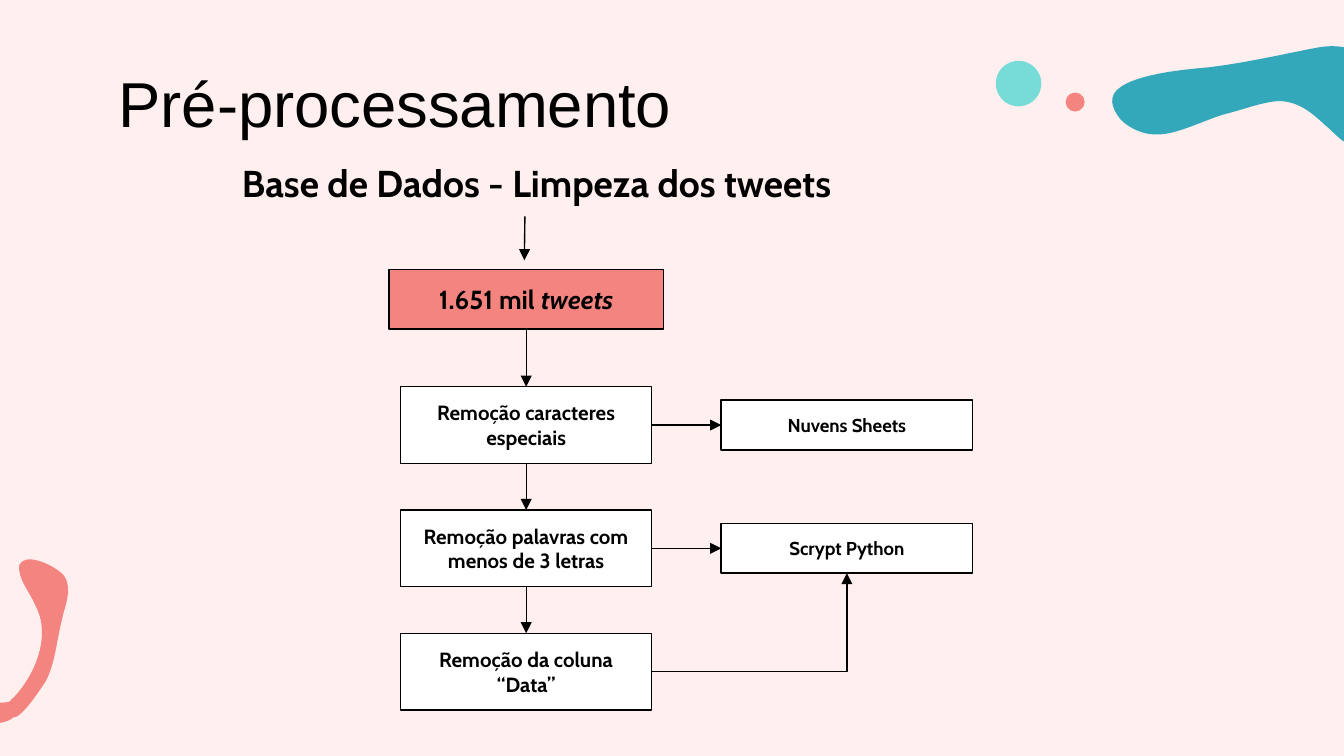
import math
from dataclasses import dataclass
from typing import Any

import pptx
import pptx.dml.color
import pptx.enum.shapes
import pptx.enum.text
import pptx.oxml
import pptx.oxml.ns
import pptx.util

Cm = pptx.util.Cm
SHAPE = pptx.enum.shapes.MSO_SHAPE
CONNECTOR = pptx.enum.shapes.MSO_CONNECTOR
ALIGN = pptx.enum.text.PP_ALIGN
ANCHOR = pptx.enum.text.MSO_ANCHOR
FIT = pptx.enum.text.MSO_AUTO_SIZE
TOP, LEFT, BOTTOM, RIGHT = range(4)
Point = tuple[float, float]


@dataclass(frozen=True)
class Theme:
    background: str = "FFF0EF"
    ink: str = "000000"
    paper: str = "FFFFFF"
    coral: str = "F48480"
    teal: str = "33A8BB"
    mint: str = "77DCD8"
    title_font: str = "Arial"
    body_font: str = "Cabin"
    title_size: float = 34
    heading_size: float = 20
    start_size: float = 14
    step_size: float = 11
    tool_size: float = 10
    line_width: float = 0.75
    inset: float = 0.25


THEME = Theme()


@dataclass(frozen=True)
class Frame:
    """Left, top, width and height in centimetres."""
    left: float
    top: float
    width: float
    height: float

    def lengths(self) -> list[int]:
        return [Cm(n) for n in (self.left, self.top, self.width, self.height)]


@dataclass(frozen=True)
class Dot:
    frame: Frame
    color: str


@dataclass(frozen=True)
class Blob:
    """Turned outline: page points of a start and cubic curves (two controls, end)."""
    frame: Frame
    rotation: float
    color: str
    start: Point
    curves: list[tuple[float, ...]]


@dataclass(frozen=True)
class Node:
    frame: Frame
    text: str
    size: float
    fill: str
    italic_tail: str = ""


DOTS = [Dot(Frame(18.82, 1.15, 0.86, 0.86), THEME.mint),
        Dot(Frame(20.14, 1.75, 0.36, 0.36), THEME.coral)]

BLOBS = [
    Blob(Frame(21.64, -0.15, 4.24, 3.96), 315, THEME.teal, (21.11, 1.7), [
        (21.46, 1.37, 22.58, 1.3, 22.86, 1.27),
        (23.52, 1.19, 24.18, 1.04, 24.84, 0.91),
        (25.68, 0.74, 26.06, 1.17, 26.24, 1.98),
        (26.29, 2.08, 26.24, 2.18, 26.14, 2.29),
        (26.04, 2.36, 25.93, 2.46, 25.86, 2.51),
        (25.81, 2.57, 25.63, 2.72, 25.55, 2.74),
        (25.4, 2.74, 25.15, 2.44, 25.04, 2.36),
        (24.79, 2.13, 24.54, 1.91, 24.16, 1.91),
        (23.85, 1.93, 23.47, 2.08, 23.14, 2.16),
        (22.78, 2.26, 22.2, 2.57, 21.82, 2.54),
        (21.62, 2.54, 21.36, 2.44, 21.18, 2.26),
        (20.98, 2.01, 20.98, 1.83, 21.11, 1.7)]),
    Blob(Frame(-2.18, 11.33, 4.06, 2.26), 142, THEME.coral, (0.33, 13.54), [
        (0.3, 13.54, 0.28, 13.56, 0.25, 13.56),
        (0.13, 13.67, -0.08, 13.67, -0.23, 13.69),
        (-0.61, 13.72, -0.97, 13.67, -1.32, 13.51),
        (-1.6, 13.41, -2.16, 13.18, -2.26, 12.85),
        (-2.26, 12.85, -2.03, 12.67, -2.03, 12.67),
        (-2.11, 12.73, -1.83, 12.93, -1.78, 12.95),
        (-1.5, 13.13, -1.17, 13.18, -0.86, 13.18),
        (-0.58, 13.21, -0.28, 13.28, -0.03, 13.28),
        (0.1, 13.28, 0.13, 13.28, 0.18, 13.26),
        (0.2, 13.23, 0.23, 13.21, 0.28, 13.16),
        (0.56, 12.85, 0.79, 12.4, 0.79, 11.96),
        (0.79, 11.76, 0.76, 11.63, 0.66, 11.43),
        (0.58, 11.23, 0.38, 11, 0.36, 10.77),
        (0.36, 10.69, 0.36, 10.64, 0.41, 10.62),
        (0.58, 10.46, 1.12, 10.74, 1.22, 10.9),
        (1.37, 11.15, 1.22, 11.46, 1.17, 11.71),
        (1.07, 12.09, 1.04, 12.55, 0.86, 12.88),
        (0.74, 13.06, 0.53, 13.39, 0.33, 13.54)]),
]

STEPS = ["Remoção caracteres especiais", "Remoção palavras com menos de 3 letras",
         "Remoção da coluna “Data”"]
TOOLS = ["Nuvens Sheets", "Scrypt Python"]
STEP_LEFT, STEP_TOP, STEP_PITCH, STEP_HEIGHT = 7.57, 7.31, 2.33, 1.45
TOOL_LEFT, TOOL_HEIGHT = 13.63, 0.94
NODE_WIDTH = 4.75


def rgb(color: str) -> pptx.dml.color.RGBColor:
    return pptx.dml.color.RGBColor.from_string(color)


def paint(shape: Any, color: str) -> None:
    """Give a flat fill without outline or shadow."""
    shape.shadow.inherit = False
    shape.fill.solid()
    shape.fill.fore_color.rgb = rgb(color)
    shape.line.fill.background()


def set_line(line: Any) -> None:
    line.color.rgb = rgb(THEME.ink)
    line.width = pptx.util.Pt(THEME.line_width)


def style_span(span: Any, size: float, font: str, bold: bool) -> None:
    span.font.size = pptx.util.Pt(size)
    span.font.name = font
    span.font.bold = bold
    span.font.color.rgb = rgb(THEME.ink)


def write(shape: Any, text: str, size: float, font: str, bold: bool,
          align: Any, anchor: Any, fit: Any = FIT.SHAPE_TO_FIT_TEXT) -> Any:
    frame = shape.text_frame
    frame.word_wrap = True
    frame.auto_size = fit
    frame.vertical_anchor = anchor
    frame.margin_left = frame.margin_right = Cm(THEME.inset)
    frame.margin_top = frame.margin_bottom = Cm(THEME.inset)
    frame.text = text
    para = frame.paragraphs[0]
    para.alignment = align
    style_span(para.runs[0], size, font, bold)
    return para


def draw_blob(page: Any, blob: Blob) -> None:
    """Draw the outline in its unturned frame, then turn the shape."""
    frame = blob.frame
    angle = math.radians(-blob.rotation)

    def local(x: float, y: float) -> tuple[int, int]:
        dx, dy = x - frame.left - frame.width / 2, y - frame.top - frame.height / 2
        return (Cm(frame.width / 2 + dx * math.cos(angle) - dy * math.sin(angle)),
                Cm(frame.height / 2 + dx * math.sin(angle) + dy * math.cos(angle)))

    builder = page.shapes.build_freeform(*local(*blob.start))
    builder.add_line_segments([local(*curve[4:]) for curve in blob.curves], close=True)
    shape = builder.convert_to_shape()
    shape.left, shape.top, shape.width, shape.height = frame.lengths()
    shape.rotation = blob.rotation
    outline = next(shape._element.iter(pptx.oxml.ns.qn("a:path")))
    outline.set("w", str(shape.width))
    outline.set("h", str(shape.height))
    start = outline[0][0]
    for name, value in zip("xy", local(*blob.start)):
        start.set(name, str(value))
    for line, curve in zip(list(outline)[1:], blob.curves):
        points = [local(*curve[i:i + 2]) for i in (0, 2, 4)]
        marks = "".join(f'<a:pt x="{x}" y="{y}"/>' for x, y in points)
        outline.replace(line, pptx.oxml.parse_xml(
            f'<a:cubicBezTo {pptx.oxml.ns.nsdecls("a")}>{marks}</a:cubicBezTo>'))
    paint(shape, blob.color)


def draw_node(page: Any, node: Node) -> Any:
    box = page.shapes.add_shape(SHAPE.RECTANGLE, *node.frame.lengths())
    paint(box, node.fill)
    set_line(box.line)
    para = write(box, node.text, node.size, THEME.body_font, True, ALIGN.CENTER, ANCHOR.MIDDLE)
    if node.italic_tail:
        span = para.add_run()
        span.text = node.italic_tail
        style_span(span, node.size, THEME.body_font, True)
        span.font.italic = True
    return box


def draw_arrow(page: Any, start: tuple[int, int], end: tuple[int, int],
               kind: Any = CONNECTOR.STRAIGHT) -> Any:
    arrow = page.shapes.add_connector(kind, *start, *end)
    set_line(arrow.line)
    properties = arrow._element.spPr
    line = properties.find(pptx.oxml.ns.qn("a:ln"))
    space = pptx.oxml.ns.nsdecls("a")
    line.append(pptx.oxml.parse_xml(f'<a:tailEnd {space} type="triangle"/>'))
    properties.append(pptx.oxml.parse_xml(f"<a:effectLst {space}/>"))
    return arrow


def join(page: Any, source: Any, source_side: int, target: Any, target_side: int,
         kind: Any = CONNECTOR.STRAIGHT) -> None:
    arrow = draw_arrow(page, (source.left, source.top), (target.left, target.top), kind)
    arrow.begin_connect(source, source_side)
    arrow.end_connect(target, target_side)
    if kind == CONNECTOR.ELBOW:  # a single corner
        arrow._element.spPr.find(pptx.oxml.ns.qn("a:prstGeom")).set("prst", "bentConnector2")


def main() -> None:
    deck = pptx.Presentation()
    deck.slide_width, deck.slide_height = Cm(25.4), Cm(14.29)
    page = deck.slides.add_slide(deck.slide_layouts[6])
    page.background.fill.solid()
    page.background.fill.fore_color.rgb = rgb(THEME.background)
    for blob in BLOBS:
        draw_blob(page, blob)
    for dot in DOTS:
        paint(page.shapes.add_shape(SHAPE.OVAL, *dot.frame.lengths()), dot.color)

    title = page.shapes.add_textbox(*Frame(1.99, 0.97, 21.44, 1.6).lengths())
    write(title, "Pré-processamento", THEME.title_size, THEME.title_font, False,
          ALIGN.LEFT, ANCHOR.TOP, FIT.NONE)
    heading = page.shapes.add_textbox(*Frame(3.63, 2.77, 13.03, 1.37).lengths())
    write(heading, "Base de Dados - Limpeza dos tweets", THEME.heading_size,
          THEME.body_font, True, ALIGN.CENTER, ANCHOR.TOP)

    draw_arrow(page, (Cm(9.92), Cm(4.09)), (Cm(9.91), Cm(4.92)))
    start = draw_node(page, Node(Frame(7.35, 5.1, 5.19, 1.12), "1.651 mil ",
                                 THEME.start_size, THEME.coral, "tweets"))
    steps = [draw_node(page, Node(
        Frame(STEP_LEFT, STEP_TOP + row * STEP_PITCH, NODE_WIDTH, STEP_HEIGHT),
        text, THEME.step_size, THEME.paper)) for row, text in enumerate(STEPS)]
    tool_top = STEP_TOP + (STEP_HEIGHT - TOOL_HEIGHT) / 2
    tools = [draw_node(page, Node(
        Frame(TOOL_LEFT, tool_top + row * STEP_PITCH, NODE_WIDTH, TOOL_HEIGHT),
        text, THEME.tool_size, THEME.paper)) for row, text in enumerate(TOOLS)]

    for upper, lower in zip([start, *steps], steps):
        join(page, upper, BOTTOM, lower, TOP)
    for step, tool in zip(steps, tools):
        join(page, step, RIGHT, tool, LEFT)
    join(page, steps[-1], RIGHT, tools[-1], BOTTOM, CONNECTOR.ELBOW)
    deck.save("out.pptx")


if __name__ == "__main__":
    main()
